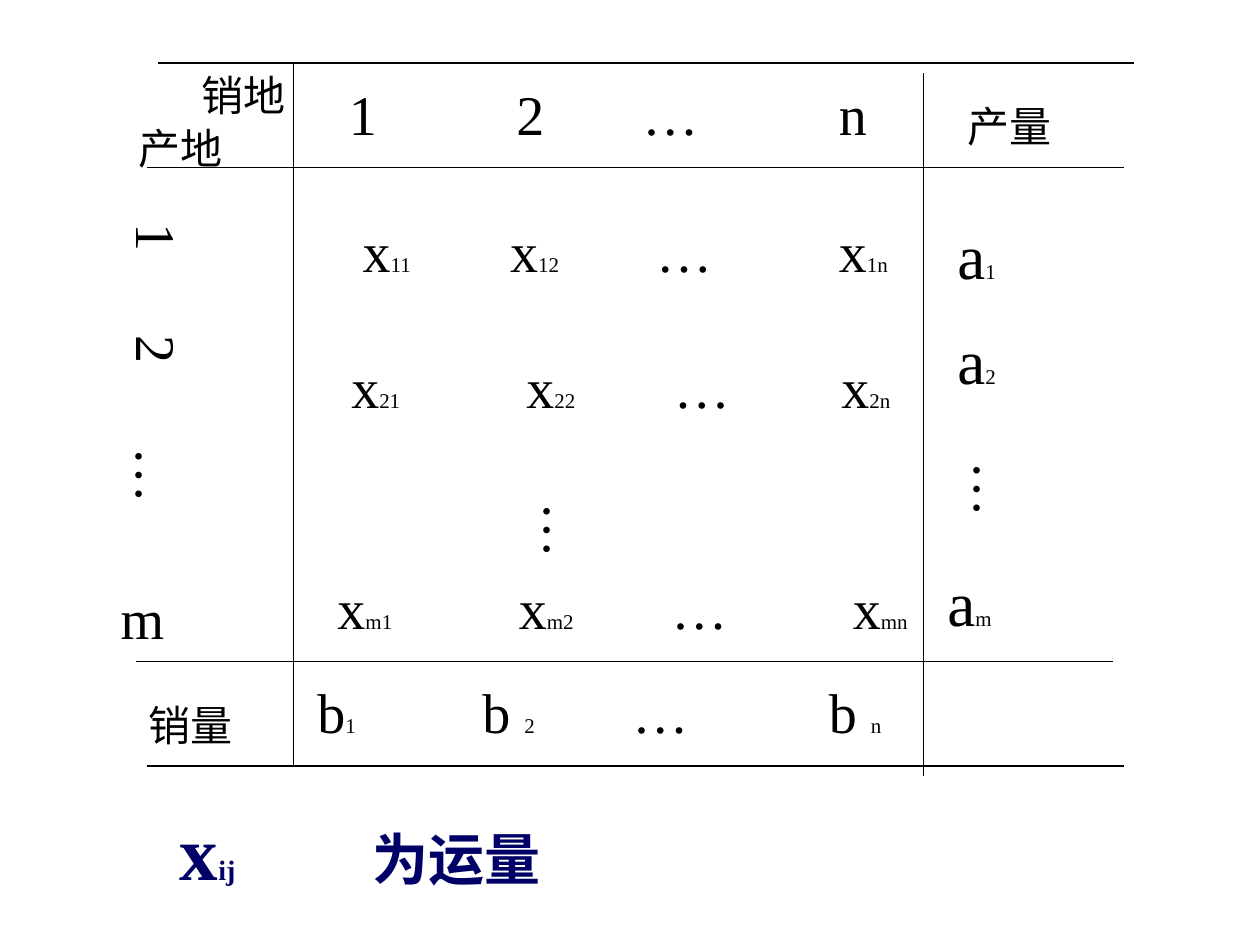
from pptx import Presentation
from pptx.dml.color import RGBColor
from pptx.enum.shapes import MSO_CONNECTOR
from pptx.enum.text import MSO_AUTO_SIZE
from pptx.oxml.ns import qn
from pptx.util import Emu, Inches, Pt
from lxml import etree

STRAIGHT = MSO_CONNECTOR.STRAIGHT
NO_FIT = MSO_AUTO_SIZE.NONE
FONT = "Times New Roman"
BLACK, NAVY = "000000", "000066"
WIDE, TALL = 7.75, 5.58  # lengths of the rules


def paint(color, code):
    color.rgb = RGBColor.from_string(code)


def add_rule(slide, x, y, w=0, h=0):
    line = slide.shapes.add_connector(
        STRAIGHT, Inches(x), Inches(y), Inches(x + w), Inches(y + h))
    line.line.width = Pt(0.75)
    paint(line.line.color, BLACK)
    etree.SubElement(line._element.spPr, qn("a:effectLst"))


def set_tabs(para, stops):
    tabs = etree.SubElement(para._p.get_or_add_pPr(), qn("a:tabLst"))
    for stop in stops:
        etree.SubElement(tabs, qn("a:tab"), pos=str(Emu(Inches(stop))), algn="l")


def add_text(slide, text, box, size, stops=(), sub=12, code=BLACK, bold=False):
    """Write text in a box; parts between underscores are set as small indices."""
    shape = slide.shapes.add_textbox(*(Inches(n) for n in box))
    frame = shape.text_frame
    frame.word_wrap = True
    frame.auto_size = NO_FIT
    para = frame.paragraphs[0]
    if stops:
        set_tabs(para, stops)
    for i, part in enumerate(text.split("_")):
        if not part:
            continue
        run = para.add_run()
        run.text = part
        run.font.name = FONT
        run.font.size = Pt(sub if i % 2 else size)
        run.font.bold = bold
        paint(run.font.color, code)
    return frame


def add_column(slide, text, box, stops):
    """Write text that runs from top to bottom."""
    frame = add_text(slide, text, box, 32, stops)
    body = frame._txBody.bodyPr
    body.set("vert", "eaVert")
    frame.margin_left = frame.margin_right = Inches(0.05)
    frame.margin_top = frame.margin_bottom = Inches(0.1)


def main():
    deck = Presentation()
    deck.slide_width, deck.slide_height = Inches(10), Inches(7.5)
    slide = deck.slides.add_slide(deck.slide_layouts[6])

    for x, y in [(1.25, 0.5), (1.17, 1.33), (1.08, 5.25), (1.17, 6.08)]:
        add_rule(slide, x, y, w=WIDE)
    for x, y in [(2.33, 0.5), (7.33, 0.58)]:
        add_rule(slide, x, y, h=TALL)

    heads = [("销地", 1.5, 0.5), ("产地", 1, 0.92),
             ("销量", 1.08, 5.5), ("产量", 7.58, 0.75)]
    for text, x, y in heads:
        add_text(slide, text, (x, y, 1.17, 0.5), 24)

    rows = [
        ("1\t2\t…\tn", 2.67, 0.58, 6.83, (1.33, 2.33, 3.89)),
        ("\tx_11_\tx_12_\t…\tx_1n_", 2.67, 1.67, 5, (0.11, 1.28, 2.44, 3.89)),
        ("\tx_21_\tx_22_\t…\tx_2n_", 2.58, 2.75, 4.83, (0.11, 1.5, 2.67, 4)),
        ("x_m1_\tx_m2_\t…\tx_mn_", 2.58, 4.5, 4.83, (1.44, 2.65, 4.09)),
        ("b_1_\tb _2_\t…\tb _n_", 2.42, 5.33, 6.83, (1.31, 2.5, 4.06)),
        ("\tm", 0.75, 4.58, 1.17, (0.11,)),
    ]
    for text, x, y, w, stops in rows:
        add_text(slide, text, (x, y, w, 0.64), 32, stops)

    for index, x, y in [("1", 7.5, 1.67), ("2", 7.5, 2.5), ("m", 7.42, 4.42)]:
        add_text(slide, f"a_{index}_", (x, y, 1.17, 0.7), 36)

    add_column(slide, "1\t2\t…", (0.55, 1.67, 1.03, 2.92), (0.89, 1.78))
    for x, y in [(6.9, 3), (3.49, 3.33)]:
        add_column(slide, "\t…", (x, y, 1.33, 1.33), (0.56,))

    note = add_text(slide, "x_ij_\t为运量", (1.33, 6.33, 5, 0.84), 44, (1.53,),
                    sub=16, code=NAVY, bold=True)
    note.paragraphs[0].runs[-1].font.size = Pt(32)

    deck.save("out.pptx")


if __name__ == "__main__":
    main()
